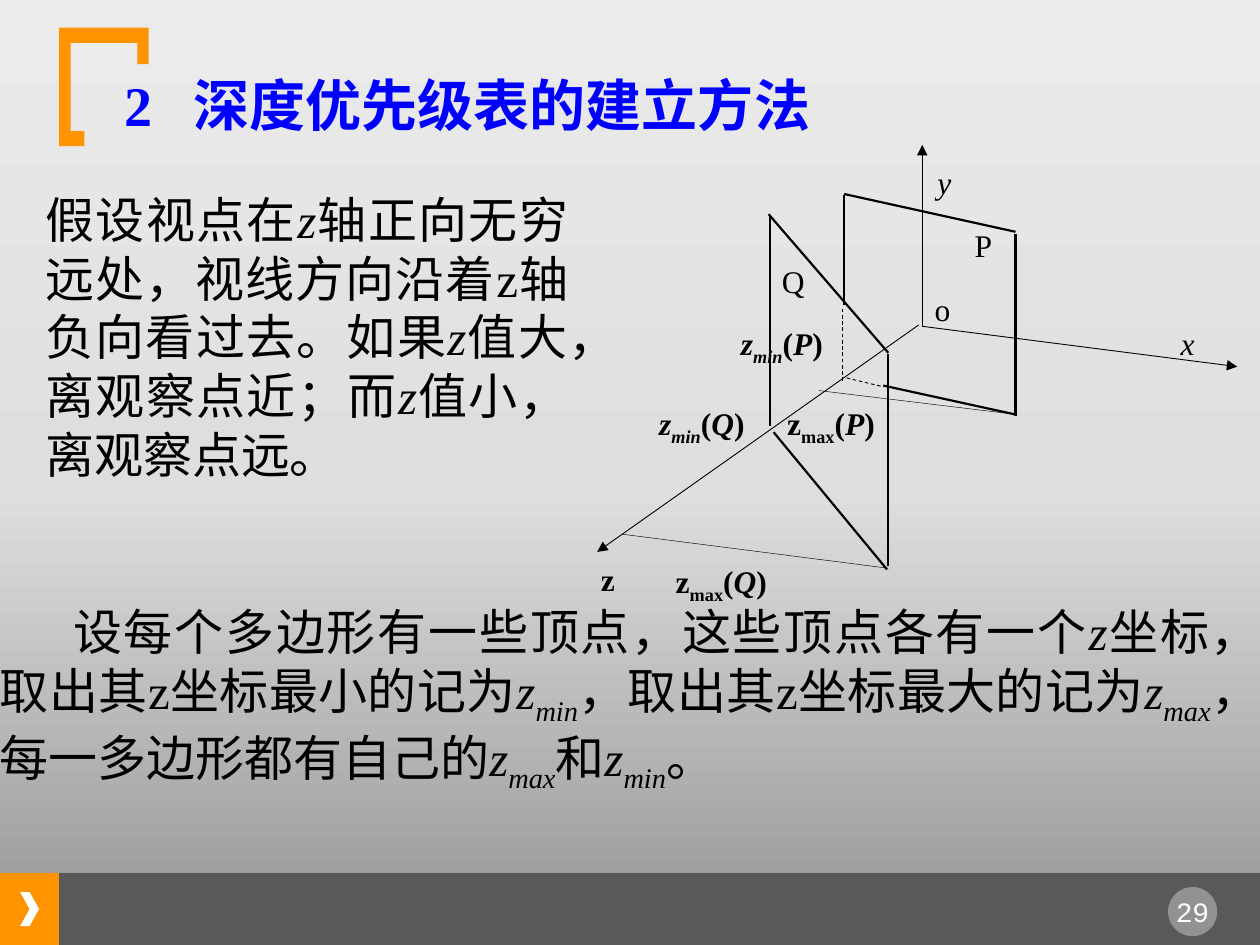
from copy import deepcopy

from lxml.etree import SubElement
from pptx import Presentation
from pptx.dml.color import RGBColor
from pptx.enum.dml import MSO_LINE
from pptx.enum.shapes import MSO_CONNECTOR, MSO_SHAPE
from pptx.enum.text import MSO_ANCHOR, MSO_AUTO_SIZE, PP_ALIGN
from pptx.oxml.ns import qn
from pptx.util import Inches, Pt

SERIF = "Times New Roman"
ORANGE, BLACK, WHITE = "FF9300", "000000", "FFFFFF"

# Runs are (text, flags): b bold, i italic, s subscript
Z = ("z", "i")
Z_MIN = [Z, ("min", "is")]
Z_MAX = [Z, ("max", "is")]

VIEWPOINT_TEXT = [
    ("假设视点在", ""), Z, ("轴正向无穷远处，视线方向沿着z轴负向看过去。如果", ""),
    Z, ("值大，离观察点近；而", ""), Z, ("值小，离观察点远。", ""),
]
VERTEX_TEXT = [
    ("设每个多边形有一些顶点，这些顶点各有一个", ""), Z,
    ("坐标，取出其z坐标最小的记为", ""), *Z_MIN,
    ("，取出其z坐标最大的记为", ""), *Z_MAX,
    ("，每一多边形都有自己的", ""), *Z_MAX, ("和", ""), *Z_MIN, ("。", ""),
]

BRACKET = [(0.47, 0.22), (1.18, 0.22), (1.18, 0.51), (1.09, 0.51), (1.09, 0.34),
           (0.56, 0.34), (0.56, 1.04), (0.67, 1.04), (0.67, 1.16), (0.47, 1.16)]

POLYGON_EDGES = [
    (6.11, 3.38, 6.11, 1.71), (6.1, 1.7, 7.05, 2.8),
    (7.01, 3.06, 8.06, 3.29), (8.06, 3.3, 8.06, 1.86),
    (6.7, 2.42, 6.7, 1.55), (6.7, 1.54, 8.06, 1.84),
    (6.14, 3.43, 7.04, 4.52), (7.05, 4.49, 7.05, 2.81),
]
HIDDEN_EDGES = [(6.69, 2.45, 6.69, 3.03), (6.72, 3, 7.01, 3.07)]
AXES = [(7.32, 2.59, 7.32, 1.15), (7.29, 2.58, 4.74, 4.38), (7.32, 2.59, 9.82, 2.91)]
PROJECTIONS = [(4.94, 4.24, 7.05, 4.51), (6.5, 3.1, 7.99, 3.28)]

# text, flags, left, top, width, height, line spacing
POINT_LABELS = [
    ("Q", "", 6.14, 2.14, 0.31, 0.19, 0.8),
    ("P", "", 7.65, 1.85, 0.31, 0.19, 0.8),
    ("x", "i", 9.27, 2.67, 0.31, 0.15, 0.64),
    ("y", "i", 7.34, 1.39, 0.31, 0.13, 0.64),
    ("z", "b", 4.67, 4.54, 0.31, 0.15, 0.64),
    ("o", "", 7.33, 2.38, 0.3, 0.19, 0.72),
]
# subscript, polygon, flags of z, left, top, width, height
DEPTH_LABELS = [
    ("min", "Q", "bi", 5.1, 3.28, 0.94, 0.24),
    ("max", "Q", "b", 5.29, 4.54, 0.87, 0.24),
    ("min", "P", "bi", 5.73, 2.65, 0.95, 0.24),
    ("max", "P", "b", 6.12, 3.28, 0.95, 0.16),
]


def color(value):
    return RGBColor.from_string(value)


def apply(target, values):
    for name, value in values.items():
        setattr(target, name, value)


def set_background(slide):
    fill = slide.background.fill
    fill.gradient()
    fill.gradient_angle = 90
    stop_list = next(slide.element.iter(qn("a:gsLst")))
    stop_list.append(deepcopy(stop_list[-1]))
    stops = [(0, "949494"), (0.48, "DEDEDE"), (1, "EBEBEB")]
    for stop, (position, value) in zip(fill.gradient_stops, stops):
        stop.color.rgb = color(value)
        stop.position = position


def paint(shape, value, opacity=None):
    """Give a shape a flat fill with no outline or shadow."""
    shape.shadow.inherit = False
    shape.line.fill.background()
    shape.fill.solid()
    shape.fill.fore_color.rgb = color(value)
    if opacity is not None:
        fill_color = next(shape._element.spPr.iter(qn("a:srgbClr")))
        SubElement(fill_color, qn("a:alpha"), val=str(opacity * 1000))


def add_preset(slide, preset, box, value, opacity=None):
    shape = slide.shapes.add_shape(preset, *map(Inches, box))
    paint(shape, value, opacity)


def add_bracket(slide):
    points = [(Inches(x), Inches(y)) for x, y in BRACKET]
    builder = slide.shapes.build_freeform(*points[0])
    builder.add_line_segments(points[1:], close=True)
    paint(builder.convert_to_shape(), ORANGE)


def add_line(slide, ends, width, dash=None, arrow=False):
    connector = slide.shapes.add_connector(MSO_CONNECTOR.STRAIGHT, *map(Inches, ends))
    line = connector.line
    line.color.rgb = color(BLACK)
    line.width = Pt(width)
    if dash:
        line.dash_style = dash
    properties = connector._element.spPr
    if arrow:
        SubElement(properties.find(qn("a:ln")), qn("a:tailEnd"), type="triangle")
    SubElement(properties, qn("a:effectLst"))


def add_text(slide, runs, box, size, value=BLACK, font=SERIF, frame=None, paragraph=None):
    """Add a one-paragraph text box; frame and paragraph hold format values."""
    text_frame = slide.shapes.add_textbox(*map(Inches, box)).text_frame
    apply(text_frame, {"word_wrap": True, **(frame or {})})
    line = text_frame.paragraphs[0]
    apply(line, paragraph or {})
    for text, flags in runs:
        run = line.add_run()
        run.text = text
        apply(run.font, {"name": font, "size": Pt(size),
                         "bold": "b" in flags, "italic": "i" in flags})
        run.font.color.rgb = color(value)
        if "s" in flags:
            run._r.get_or_add_rPr().set("baseline", "-25000")
    return line


def add_label(slide, runs, box, spacing=0.64):
    insets = dict.fromkeys(
        ("margin_left", "margin_right", "margin_top", "margin_bottom"), 0)
    add_text(slide, runs, box, 18, frame=insets,
             paragraph={"alignment": PP_ALIGN.CENTER, "line_spacing": spacing})


def add_body(slide, runs, box):
    return add_text(
        slide, runs, box, 28,
        frame={"margin_left": 0, "margin_right": 0,
               "vertical_anchor": MSO_ANCHOR.MIDDLE,
               "auto_size": MSO_AUTO_SIZE.SHAPE_TO_FIT_TEXT},
        paragraph={"alignment": PP_ALIGN.JUSTIFY})


def add_title(slide):
    line = add_text(slide, [], (0.89, 0.57, 8.1, 0.69), 32, paragraph={"line_spacing": 0.9})
    tabs = SubElement(line._p.get_or_add_pPr(), qn("a:tabLst"))
    SubElement(tabs, qn("a:tab"), pos=str(Inches(0.55)), algn="l")
    run = line.add_run()
    run.text = "2\t深度优先级表的建立方法"
    apply(run.font, {"name": SERIF, "size": Pt(32), "bold": True})
    run.font.color.rgb = color("0000FF")


def add_footer(slide):
    add_preset(slide, MSO_SHAPE.RECTANGLE, (0, 6.93, 0.47, 0.57), ORANGE)
    add_preset(slide, MSO_SHAPE.RECTANGLE, (0.47, 6.93, 9.53, 0.57), "595959")
    add_preset(slide, MSO_SHAPE.CHEVRON, (0.16, 7.08, 0.15, 0.27), WHITE)
    add_preset(slide, MSO_SHAPE.OVAL, (9.27, 7.04, 0.39, 0.39), WHITE, opacity=35)
    add_text(slide, [("29", "")], (9.2, 7.05, 0.53, 0.37), 16, WHITE, "Courier New",
             paragraph={"alignment": PP_ALIGN.CENTER})


def add_diagram(slide):
    for ends in POLYGON_EDGES:
        add_line(slide, ends, 1.25)
    for ends in HIDDEN_EDGES:
        add_line(slide, ends, 0.5, dash=MSO_LINE.DASH)
    for ends in AXES:
        add_line(slide, ends, 0.5, arrow=True)
    for ends in PROJECTIONS:
        add_line(slide, ends, 0.25)
    for text, flags, *box, spacing in POINT_LABELS:
        add_label(slide, [(text, flags)], box, spacing)
    for subscript, polygon, flags, *box in DEPTH_LABELS:
        add_label(slide, [("z", flags), (subscript, flags + "s"), ("(", "b"),
                          (polygon, "bi"), (")", "b")], box)


def main():
    presentation = Presentation()
    apply(presentation, {"slide_width": Inches(10), "slide_height": Inches(7.5)})
    slide = presentation.slides.add_slide(presentation.slide_layouts[6])
    set_background(slide)
    add_footer(slide)
    add_bracket(slide)
    add_diagram(slide)
    vertex_paragraph = add_body(slide, VERTEX_TEXT, (0, 4.79, 10, 1.5))
    vertex_paragraph._p.get_or_add_pPr().set("indent", str(Inches(0.58)))
    add_body(slide, VIEWPOINT_TEXT, (0.36, 1.44, 4.15, 2.46))
    add_title(slide)
    presentation.save("out.pptx")


if __name__ == "__main__":
    main()
